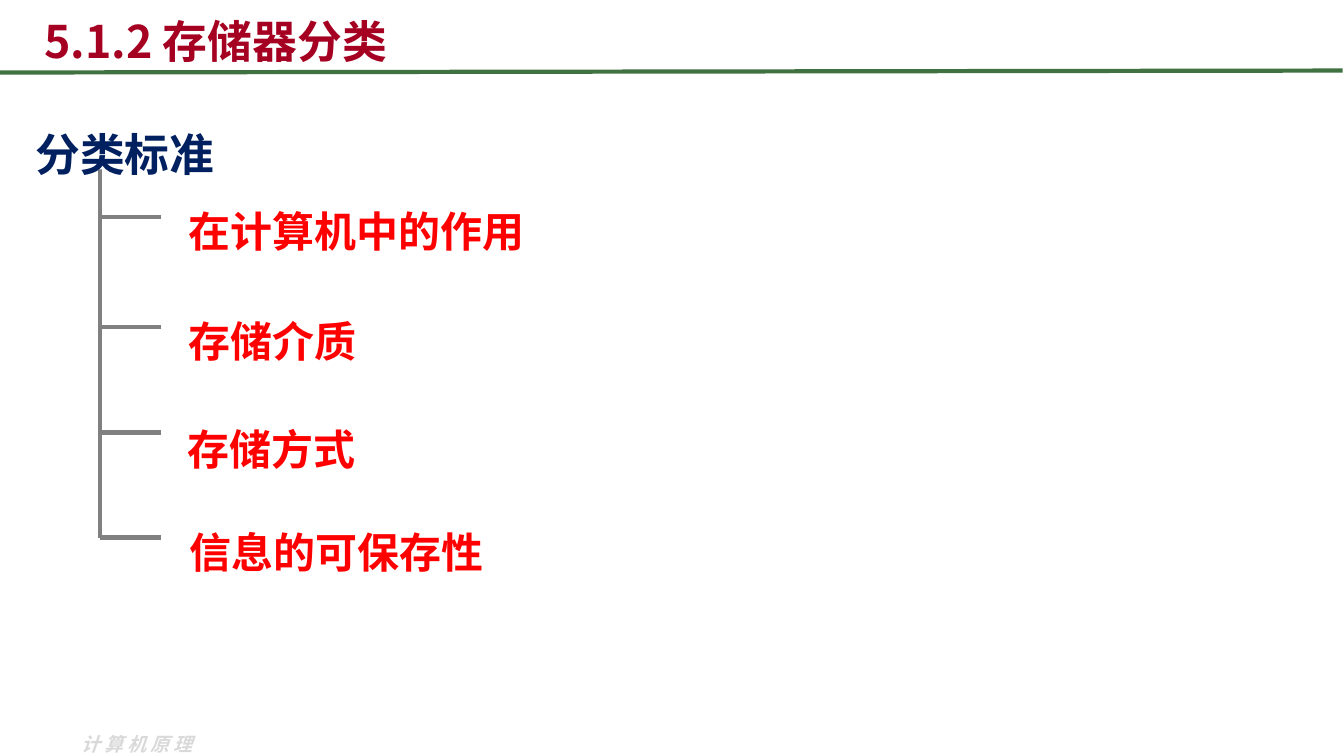
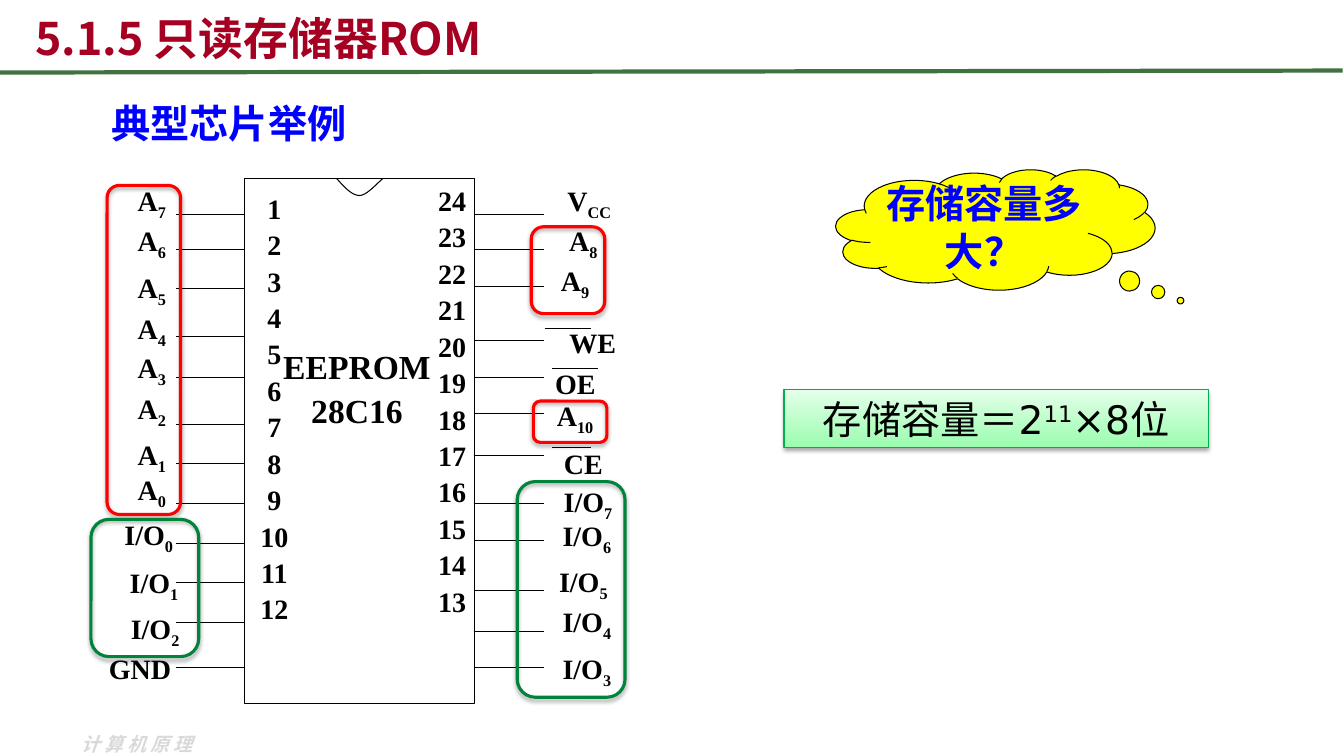
"""Builds two lecture slides on memory: classification criteria and an EEPROM example."""
import pptx
import pptx.util
import pptx.dml.color
import pptx.enum.shapes
import pptx.enum.text
import pptx.oxml
import pptx.oxml.ns
from lxml import etree

Pt = pptx.util.Pt
qn = pptx.oxml.ns.qn
SHAPE = pptx.enum.shapes.MSO_SHAPE
ALIGN = pptx.enum.text.PP_ALIGN
ANCHOR = pptx.enum.text.MSO_ANCHOR

CJK, SERIF, SANS = "Noto Sans CJK SC", "Times New Roman", "DejaVu Sans"
BLACK, WHITE, RED, GREEN, BLUE = "000000", "FFFFFF", "FF0000", "00843C", "0000FF"
TITLE, RULE, NAVY, GRAY, FOOTER, YELLOW = "A50021", "3F7141", "002060", "808080", "D9D9D9", "FFFF00"

CRITERIA = [
    ("在计算机中的作用", 127.5, 131, 155),
    ("存储介质", 127.5, 209.5, 233.5),
    ("存储方式", 126.7, 286.5, 309),
    ("信息的可保存性", 128.2, 360, 384),
]
LEFT_PINS = [
    ("A_7", 92, 127.5, 33, 153.5), ("A_6", 92, 156, 33, 178.5),
    ("A_5", 92, 190, 33, 206), ("A_4", 92, 219, 33, 240.5),
    ("A_3", 92, 247, 33, 269.5), ("A_2", 92, 276, 33, 303),
    ("A_1", 92, 309, 33, 331), ("A_0", 92, 334, 33, 359.5),
    ("I/O_0", 81.5, 366, 49.5, 388), ("I/O_1", 81.5, 400.5, 57, 416),
    ("I/O_2", 83.5, 433.5, 54.5, 445), ("GND", 75.5, 462, 49, 476.5),
]
RIGHT_PINS = [
    ("V_CC", 389, 127.5, 64, 153.5), ("A_8", 394.5, 156, 44.5, 178.5),
    ("A_9", 394.5, 184.5, 32.5, 204.5), ("WE", 391.5, 229, 64, 243.5),
    ("OE", 394.5, 258, 33, 269.5), ("A_10", 394.5, 281, 32.5, 295.5),
    ("CE", 394.5, 315.5, 44.5, 325.5), ("I/O_7", 393, 342.5, 54, 359.5),
    ("I/O_6", 394.5, 366.5, 49.5, 386), ("I/O_5", 394.5, 399.5, 44.5, 422),
    ("I/O_4", 394.5, 428.5, 49.5, 451), ("I/O_3", 394.5, 461.5, 49.5, 476.5),
]
PIN_SIDES = [(LEFT_PINS, 125.5, 174.5), (RIGHT_PINS, 339, 388.5)]
PIN_NUMBERS = [(range(1, 13), 179.5, 133), (range(24, 12, -1), 306.5, 127.5)]
OVERBARS = [(389, 422, 234.5), (394.5, 427, 263.5), (394, 422, 319.5)]
NOTCH = [
    [(240.5, 127.5), (246.2, 133.9), (251.3, 139.7), (257, 139.7)],
    [(257, 139.7), (262.1, 139.7), (270.7, 129.6), (273.6, 127.5)],
]
PIN_GROUPS = [
    (76.5, 132.5, 52.5, 235, RED), (379.5, 162, 52.5, 62, RED),
    (381, 286.5, 52.5, 29.5, RED), (65, 371, 77, 98, GREEN),
    (369.5, 344, 77, 154, GREEN),
]


def rgb(value):
    """Turn a hex string into a colour."""
    return pptx.dml.color.RGBColor.from_string(value)


def write(s, paragraphs, size, color, font=CJK, bold=True, align=ALIGN.CENTER,
          anchor=ANCHOR.TOP, inset=0, line=None, raised=-25):
    """Fill a shape with paragraphs; odd parts between underscores are shifted."""
    tf = s.text_frame
    tf.word_wrap = True
    tf.vertical_anchor = anchor
    tf.margin_left = tf.margin_right = Pt(inset)
    tf.margin_top = tf.margin_bottom = Pt(3.6)
    for i, text in enumerate(paragraphs):
        p = tf.add_paragraph() if i else tf.paragraphs[0]
        p.alignment = align
        p.space_before = Pt(size / 10)
        if line:
            p.line_spacing = line
        p.font.size, p.font.bold, p.font.name = Pt(size), bold, font
        p.font.color.rgb = rgb(color)
        props = p._p.pPr.find(qn("a:defRPr"))
        etree.SubElement(props, qn("a:ea")).set("typeface", font)
        for j, part in enumerate(text.split("_")):
            r = p.add_run()
            r.text = part
            if j % 2:
                r._r.get_or_add_rPr().set("baseline", str(raised * 1000))
    return s


def textbox(slide, x, y, w, h, paragraphs, size, color, **style):
    """Add a text box."""
    s = slide.shapes.add_textbox(Pt(x), Pt(y), Pt(w), Pt(h))
    return write(s, paragraphs, size, color, **style)


def shape(slide, kind, x, y, w, h, fill=None, line=None, width=0.75):
    """Add a preset shape with a plain fill and outline."""
    s = slide.shapes.add_shape(kind, Pt(x), Pt(y), Pt(w), Pt(h))
    s.shadow.inherit = False
    paint(s, fill, line, width)
    return s


def paint(s, fill, line, width=0.75):
    """Set fill and outline, or remove them."""
    if fill:
        s.fill.solid()
        s.fill.fore_color.rgb = rgb(fill)
    else:
        s.fill.background()
    if line:
        s.line.color.rgb = rgb(line)
        s.line.width = Pt(width)
    else:
        s.line.fill.background()


def connect(slide, x1, y1, x2, y2, color=BLACK, width=0.75):
    """Add a straight line without a shadow."""
    kind = pptx.enum.shapes.MSO_CONNECTOR.STRAIGHT
    s = slide.shapes.add_connector(kind, Pt(x1), Pt(y1), Pt(x2), Pt(y2))
    s.line.color.rgb = rgb(color)
    s.line.width = Pt(width)
    etree.SubElement(s._element.spPr, qn("a:effectLst"))


def drop_shadow(s):
    """Give a shape a soft shadow below it."""
    effects = s._element.spPr.find(qn("a:effectLst"))
    shadow = etree.SubElement(effects, qn("a:outerShdw"), blurRad=str(Pt(3.1)),
                              dist=str(Pt(1.8)), dir="5400000", rotWithShape="0")
    black = etree.SubElement(shadow, qn("a:srgbClr"), val=BLACK)
    etree.SubElement(black, qn("a:alpha"), val="35000")


def bezier(a, b, c, d, steps=10):
    """Return points along a cubic curve, without its start."""
    points = []
    for t in (i / steps for i in range(1, steps + 1)):
        weights = ((1 - t) ** 3, 3 * t * (1 - t) ** 2, 3 * t * t * (1 - t), t ** 3)
        points.append(tuple(Pt(sum(k * q[axis] for k, q in zip(weights, (a, b, c, d))))
                            for axis in (0, 1)))
    return points


def add_slide(prs, title, x, y):
    """Add a slide with title, rule and footer."""
    slide = prs.slides.add_slide(prs.slide_layouts[6])
    footer = textbox(slide, 51, 519, 120, 24.5, ["计算机原理"], 13.5, FOOTER,
                     align=ALIGN.LEFT, anchor=ANCHOR.MIDDLE, inset=7.2)
    p = footer.text_frame.paragraphs[0]
    p.font.italic = True
    p._p.pPr.find(qn("a:defRPr")).set("spc", "300")
    connect(slide, 0, 51.8, 959, 50.4, RULE, 3)
    textbox(slide, x, y, 864, 54, [title], 32, TITLE, align=ALIGN.LEFT,
            anchor=ANCHOR.MIDDLE, inset=7.2)
    return slide


def criteria_slide(prs):
    """Draw the tree of classification criteria."""
    slide = add_slide(prs, "5.1.2 存储器分类", 24.5, 2)
    trunk, bottom = 71.2, CRITERIA[-1][3]
    connect(slide, trunk, 108.7, trunk, bottom, GRAY, 3)
    root = shape(slide, SHAPE.RECTANGLE, 13, 75, 152.5, 46, WHITE)
    write(root, ["分类标准"], 32, NAVY, anchor=ANCHOR.MIDDLE, inset=7.2, line=1.6)
    for text, x, y, branch in CRITERIA:
        connect(slide, 115, branch, trunk, branch, GRAY, 3)
        textbox(slide, x, y - 9.2, 576, 77, [text], 30, RED, align=ALIGN.LEFT,
                inset=7.2, line=1.6)


def chip_slide(prs):
    """Draw the chip, its pins and the capacity question."""
    slide = add_slide(prs, "5.1.5 只读存储器ROM", 18, 0)
    shape(slide, SHAPE.RECTANGLE, 175, 127.5, 164, 375, WHITE, BLACK)
    x, y = NOTCH[0][0]
    builder = slide.shapes.build_freeform(Pt(x), Pt(y))
    for curve in NOTCH:
        builder.add_line_segments(bezier(*curve), close=False)
    notch = builder.convert_to_shape()
    notch.shadow.inherit = False
    paint(notch, None, BLACK)
    textbox(slide, 191, 243.5, 128, 68, ["EEPROM", "28C16"], 24, BLACK, font=SERIF)
    for numbers, x, y in PIN_NUMBERS:
        textbox(slide, x, y, 33, 388, [str(n) for n in numbers], 20, BLACK, font=SERIF)
    for pins, start, end in PIN_SIDES:
        for label, x, y, w, wire in pins:
            connect(slide, start, wire, end, wire)
            textbox(slide, x, y, w, 39, [label], 20, BLACK, font=SERIF)
    for start, end, y in OVERBARS:
        connect(slide, start, y, end, y)
    textbox(slide, 71.5, 63, 184, 49, ["典型芯片举例"], 28, BLUE, anchor=ANCHOR.MIDDLE,
            inset=7.2)
    cloud = shape(slide, SHAPE.CLOUD_CALLOUT, 597, 121, 228, 86, YELLOW, BLACK)
    cloud.adjustments[0], cloud.adjustments[1] = 0.58, 0.59
    write(cloud, ["存储容量多大？"], 28, BLUE, anchor=ANCHOR.MIDDLE)
    answer = shape(slide, SHAPE.RECTANGLE, 560, 278.5, 303, 41, WHITE, "00B04E")
    answer.fill.gradient()
    answer.fill.gradient_angle = 270
    for stop, color in zip(answer.fill.gradient_stops, ("E4FFE9", "9BFDAF")):
        stop.color.rgb = rgb(color)
    drop_shadow(answer)
    write(answer, ["存储容量＝2_11_×8位"], 28, BLACK, font=SANS, bold=False,
          anchor=ANCHOR.MIDDLE, inset=7.2, raised=30)
    for x, y, w, h, color in PIN_GROUPS:
        frame = shape(slide, SHAPE.ROUNDED_RECTANGLE, x, y, w, h, None, color, 2.25)
        drop_shadow(frame)


def main():
    """Build and save the presentation."""
    prs = pptx.Presentation()
    prs.slide_width, prs.slide_height = Pt(960), Pt(540)
    criteria_slide(prs)
    chip_slide(prs)
    prs.save("out.pptx")


if __name__ == "__main__":
    main()
